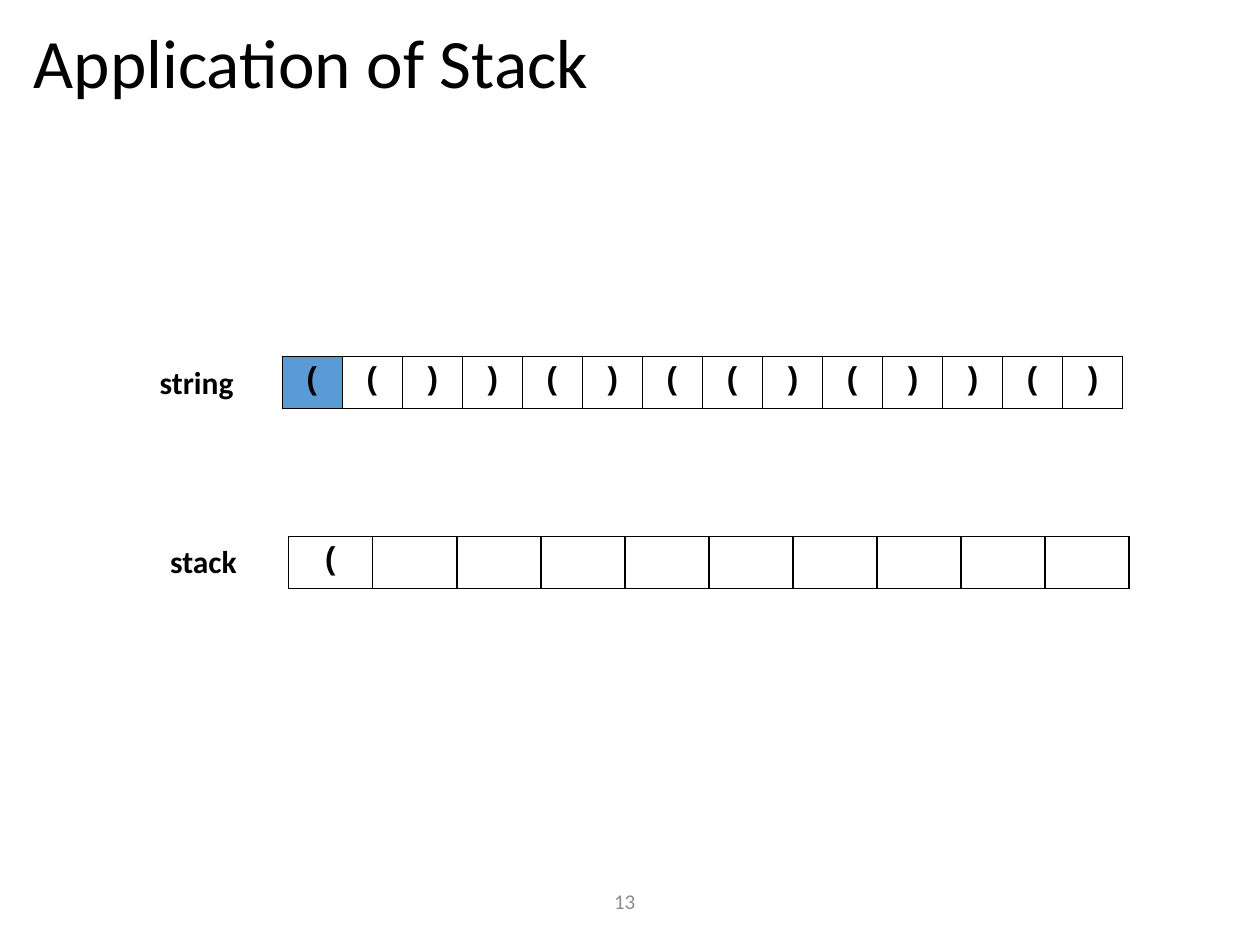
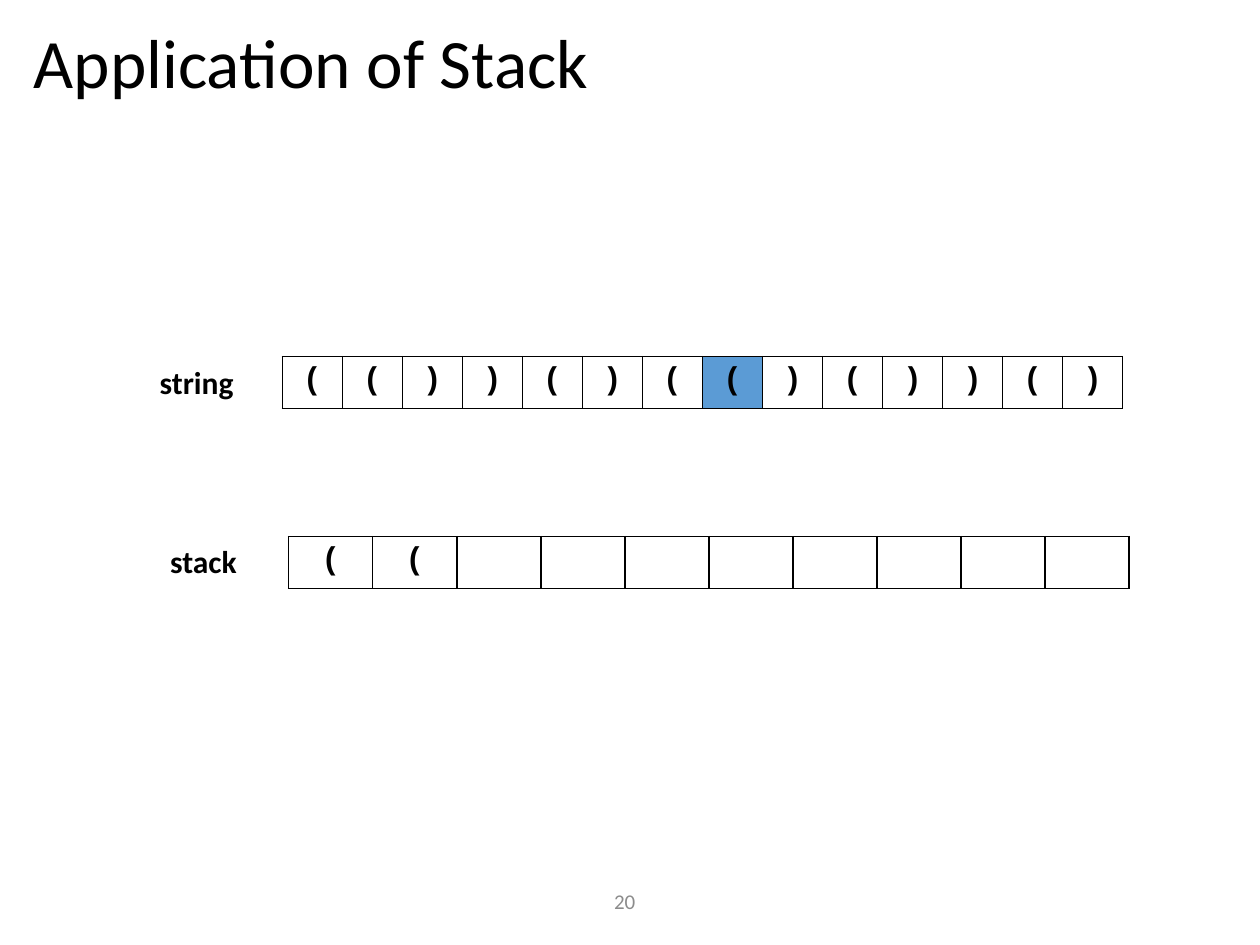
import lxml.etree
import pptx
import pptx.dml.color
import pptx.enum.text
import pptx.oxml.ns
import pptx.util

Cm = pptx.util.Cm
Pt = pptx.util.Pt
PP_ALIGN = pptx.enum.text.PP_ALIGN
MSO_ANCHOR = pptx.enum.text.MSO_ANCHOR

BRACKETS = "(())()(()())()"
STACK_SIZE = 10
FIRST_PAGE = 13
SHOWN_POSITIONS = (0, 7)


def color(hex_string):
    return pptx.dml.color.RGBColor.from_string(hex_string)


def stack_after(position):
    stack = []
    for bracket in BRACKETS[:position + 1]:
        if bracket == "(":
            stack.append(bracket)
        else:
            stack.pop()
    return stack


class StackDeck:
    """Holds the deck's style and current slide, and draws each kind of element."""

    BLACK = "000000"
    GREY = "8C8C8C"
    HIGHLIGHT = "5B9BD5"
    BODY_FONT = "Calibri"
    CODE_FONT = "Courier New"
    BAND_WIDTH = 16.94
    BAND_HEIGHT = 1.04

    def __init__(self):
        self.presentation = pptx.Presentation()
        self.presentation.slide_width = Cm(25.4)
        self.presentation.slide_height = Cm(19.05)
        self.slide = None

    def add_slide(self):
        self.slide = self.presentation.slides.add_slide(self.presentation.slide_layouts[6])

    def format_runs(self, paragraph, size, font, hex_string, bold=False):
        for run in paragraph.runs:
            run.font.size = Pt(size)
            run.font.name = font
            run.font.bold = bold
            run.font.color.rgb = color(hex_string)

    def text(self, words, left, top, width, height, size, hex_string=BLACK, bold=False,
             align=PP_ALIGN.LEFT, anchor=MSO_ANCHOR.TOP):
        frame = self.slide.shapes.add_textbox(
            Cm(left), Cm(top), Cm(width), Cm(height)).text_frame
        frame.word_wrap = True
        frame.vertical_anchor = anchor
        frame.text = words
        paragraph = frame.paragraphs[0]
        paragraph.alignment = align
        self.format_runs(paragraph, size, self.BODY_FONT, hex_string, bold)
        return paragraph

    def title(self, words):
        self.text(words, 0.43, 0.46, 24.43, 1.88, 39.6).line_spacing = 0.9

    def page_number(self, number):
        self.text(str(number), 6.65, 17.65, 11.89, 1.02, 12, self.GREY,
                  align=PP_ALIGN.CENTER, anchor=MSO_ANCHOR.MIDDLE)

    def label(self, words, left, top, width):
        self.text(words, left, top, width, 1.02, 18, bold=True)

    def border(self, cell):
        properties = cell._tc.get_or_add_tcPr()
        qn = pptx.oxml.ns.qn
        for side in ("a:lnL", "a:lnR", "a:lnT", "a:lnB"):
            line = lxml.etree.SubElement(properties, qn(side), w=str(Pt(1)))
            fill = lxml.etree.SubElement(line, qn("a:solidFill"))
            lxml.etree.SubElement(fill, qn("a:srgbClr"), val=self.BLACK)

    def band(self, symbols, left, top, current=None):
        table = self.slide.shapes.add_table(
            1, len(symbols), Cm(left), Cm(top),
            Cm(self.BAND_WIDTH), Cm(self.BAND_HEIGHT)).table
        table.first_row = False
        table.horz_banding = False
        for index, symbol in enumerate(symbols):
            table.columns[index].width = Cm(self.BAND_WIDTH / len(symbols))
            cell = table.cell(0, index)
            self.border(cell)
            if index == current:
                cell.fill.solid()
                cell.fill.fore_color.rgb = color(self.HIGHLIGHT)
            else:
                cell.fill.background()
            if symbol:
                cell.text_frame.text = symbol
                paragraph = cell.text_frame.paragraphs[0]
                paragraph.alignment = PP_ALIGN.CENTER
                self.format_runs(paragraph, 18, self.CODE_FONT, self.BLACK, True)


def main():
    deck = StackDeck()
    for position in SHOWN_POSITIONS:
        stack = stack_after(position)
        deck.add_slide()
        deck.page_number(FIRST_PAGE + position)
        deck.title("Application of Stack")
        deck.band(stack + [""] * (STACK_SIZE - len(stack)), 5.82, 10.82)
        deck.label("stack", 3.18, 10.8, 2.26)
        deck.band(BRACKETS, 5.69, 7.19, current=position)
        deck.label("string", 2.97, 7.19, 2.36)
    deck.presentation.save("out.pptx")


if __name__ == "__main__":
    main()
